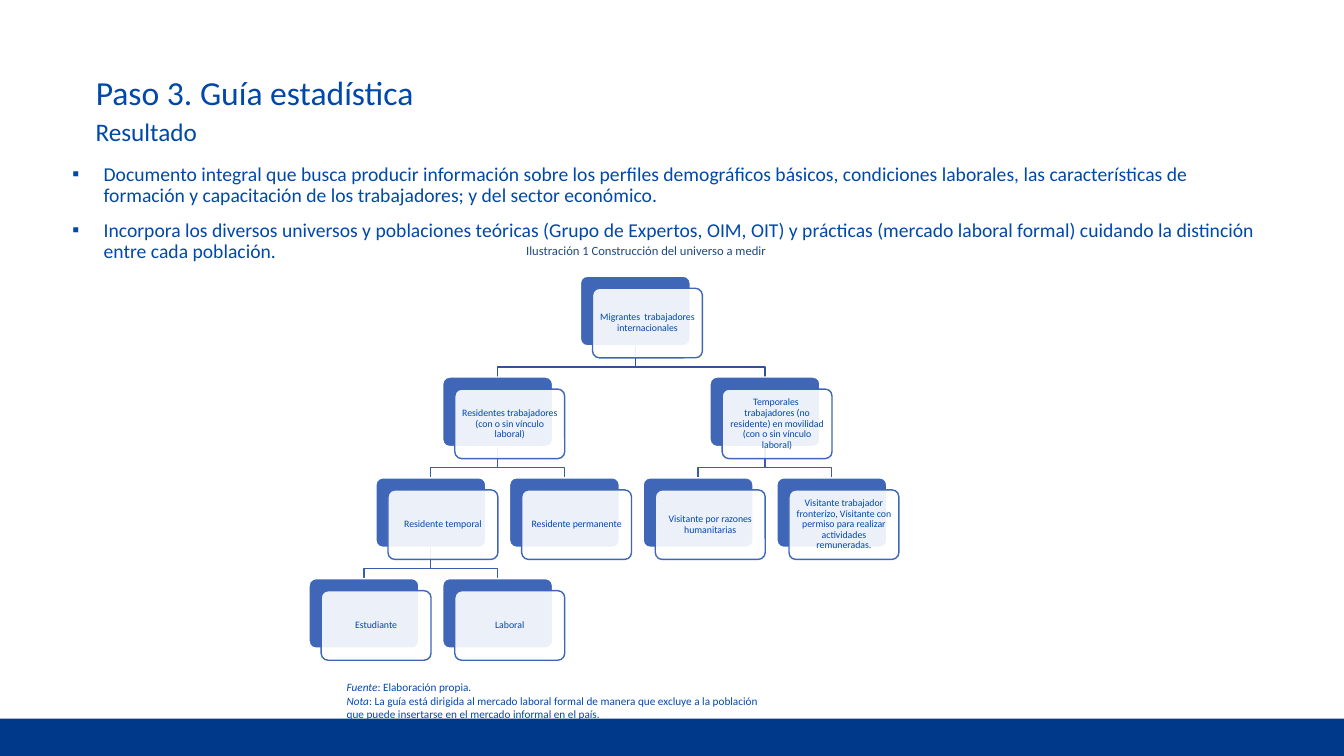
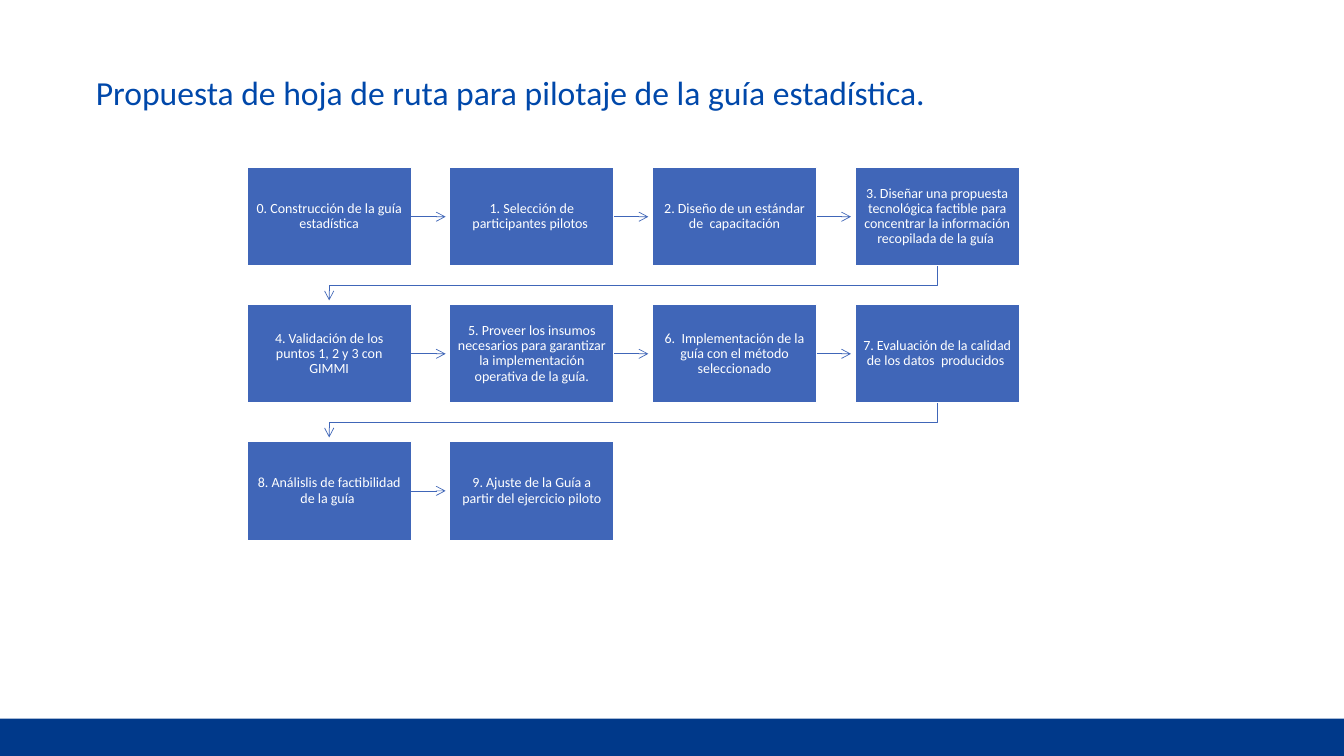
from dataclasses import dataclass

from lxml.etree import SubElement
from pptx import Presentation
from pptx.dml.color import RGBColor
from pptx.enum.shapes import MSO_CONNECTOR, MSO_SHAPE
from pptx.enum.text import MSO_ANCHOR as Anchor, MSO_AUTO_SIZE, PP_ALIGN as Align
from pptx.oxml.ns import qn
from pptx.util import Inches, Pt

FONT = "Calibri"
WHITE = "FFFFFF"
TITLE_BLUE = "0048AA"
TEXT_BLUE = "0048AF"
CAPTION_BLUE = "1F497D"
BAND_BLUE = "00398A"
BOX_BLUE = "4066B8"
TRUNK_BLUE = "335293"
BRANCH_BLUE = "3A5DA7"

SLIDE_W, SLIDE_H, BAND_H = 13.33, 7.5, 0.37

NODE_W, NODE_H = 1.09, 0.69
NODE_SHIFT = 0.12
FIRST_CENTER, LAST_CENTER, LAST_COLUMN = 3.61, 8.25, 7
TREE_TOP, LEVEL_PITCH, ELBOW_RISE = 2.74, 1.0, 0.1

STEP_LEFT, STEP_TOP, STEP_W, STEP_H = 2.45, 1.66, 1.63, 0.98
STEP_GAP, ARROW_LENGTH, STEPS_PER_ROW = 0.38, 0.34, 4


@dataclass(frozen=True)
class Run:
    text: str
    italic: bool = False


@dataclass(frozen=True)
class TextStyle:
    size: float
    color: str
    align: Align = Align.LEFT
    anchor: Anchor = Anchor.TOP
    line_spacing: float = 0.9
    space_before: float = 0
    bullet: str = ""


@dataclass(frozen=True)
class Node:
    label: str
    column: float
    level: int
    parent: int | None = None

    @property
    def center(self) -> float:
        return FIRST_CENTER + (LAST_CENTER - FIRST_CENTER) * self.column / LAST_COLUMN

    @property
    def top(self) -> float:
        return TREE_TOP + LEVEL_PITCH * self.level


TITLE_STYLE = TextStyle(24, TITLE_BLUE)
SUBTITLE_STYLE = TextStyle(18, TITLE_BLUE, anchor=Anchor.MIDDLE)
BULLET_STYLE = TextStyle(14, TITLE_BLUE, space_before=10, bullet="▪")
CAPTION_STYLE = TextStyle(9, CAPTION_BLUE, anchor=Anchor.MIDDLE, line_spacing=1)
NOTE_STYLE = TextStyle(8, TEXT_BLUE, anchor=Anchor.MIDDLE, line_spacing=1)
NODE_STYLE = TextStyle(7, TEXT_BLUE, Align.CENTER, Anchor.MIDDLE)
STEP_STYLE = TextStyle(10, WHITE, Align.CENTER, Anchor.MIDDLE)

FINDINGS = [
    [Run("Documento integral que busca producir información sobre los perfiles demográficos "
         "básicos, condiciones laborales, las características de formación y capacitación "
         "de los trabajadores; y del sector económico.")],
    [Run("Incorpora los diversos universos y poblaciones teóricas (Grupo de Expertos, OIM, OIT) "
         "y prácticas (mercado laboral formal) cuidando la distinción entre cada población.")],
]

SOURCE_NOTE = [
    [Run("Fuente", True), Run(": Elaboración propia.")],
    [Run("Nota", True),
     Run(": La guía está dirigida al mercado laboral formal de manera que excluye a la "
         "población que puede insertarse en el mercado informal en el país.")],
]

UNIVERSE = [
    Node("Migrantes  trabajadores internacionales", 4.06, 0),
    Node("Residentes trabajadores (con o sin vínculo laboral)", 2, 1, 0),
    Node("Temporales  trabajadores (no residente) en movilidad (con o sin vínculo laboral)",
         6, 1, 0),
    Node("Residente temporal", 1, 2, 1),
    Node("Residente permanente", 3, 2, 1),
    Node("Visitante por razones humanitarias", 5, 2, 2),
    Node("Visitante trabajador fronterizo, Visitante con permiso para realizar actividades "
         "remuneradas.", 7, 2, 2),
    Node("Estudiante", 0, 3, 3),
    Node("Laboral", 2, 3, 3),
]

ROADMAP = [
    "0. Construcción de la guía estadística",
    "1. Selección de participantes pilotos ",
    "2. Diseño de un estándar de  capacitación",
    "3. Diseñar una propuesta tecnológica factible para concentrar la información "
    "recopilada de la guía ",
    "4. Validación de los puntos 1, 2 y 3 con GIMMI",
    "5. Proveer los insumos necesarios para garantizar la implementación operativa de la guía.",
    "6.  Implementación de la guía con el método seleccionado",
    "7. Evaluación de la calidad de los datos  producidos ",
    "8. Análislis de factibilidad de la guía ",
    "9. Ajuste de la Guía a partir del ejercicio piloto",
]


def rgb(color: str) -> RGBColor:
    return RGBColor.from_string(color)


def box(left: float, top: float, width: float, height: float) -> tuple:
    return Inches(left), Inches(top), Inches(width), Inches(height)


def add_bullet(paragraph, symbol: str) -> None:
    properties = paragraph._p.get_or_add_pPr()
    properties.set("marL", str(Inches(0.31)))
    properties.set("indent", str(-Inches(0.31)))
    SubElement(properties, qn("a:buFont")).set("typeface", FONT)
    SubElement(properties, qn("a:buChar")).set("char", symbol)


def write(frame, paragraphs: list[list[Run]], style: TextStyle,
          inset: float | None = None) -> None:
    frame.word_wrap = True
    frame.auto_size = MSO_AUTO_SIZE.NONE
    frame.vertical_anchor = style.anchor
    if inset is not None:
        frame.margin_left = frame.margin_right = Inches(inset)
        frame.margin_top = frame.margin_bottom = Inches(inset)
    for index, runs in enumerate(paragraphs):
        paragraph = frame.add_paragraph() if index else frame.paragraphs[0]
        paragraph.alignment = style.align
        paragraph.line_spacing = style.line_spacing
        paragraph.space_before = Pt(style.space_before)
        if style.bullet:
            add_bullet(paragraph, style.bullet)
        for part in runs:
            run = paragraph.add_run()
            run.text = part.text
            run.font.name = FONT
            run.font.size = Pt(style.size)
            run.font.italic = part.italic
            run.font.color.rgb = rgb(style.color)


def add_text(slide, place: tuple, paragraphs: list[list[Run]], style: TextStyle) -> None:
    write(slide.shapes.add_textbox(*place).text_frame, paragraphs, style)


def add_block(slide, kind: MSO_SHAPE, place: tuple, fill: str, line: str | None = None):
    block = slide.shapes.add_shape(kind, *place)
    block.shadow.inherit = False
    block.fill.solid()
    block.fill.fore_color.rgb = rgb(fill)
    if line:
        block.line.color.rgb = rgb(line)
        block.line.width = Pt(1)
    else:
        block.line.fill.background()
    return block


def style_line(stroke, color: str, width: float, arrow: bool) -> None:
    stroke.line.color.rgb = rgb(color)
    stroke.line.width = Pt(width)
    if arrow:
        outline = stroke.element.spPr.find(qn("a:ln"))
        SubElement(outline, qn("a:tailEnd")).set("type", "arrow")


def add_elbow(slide, points: list[tuple[float, float]], color: str, width: float,
              arrow: bool = False) -> None:
    start, *rest = [(Inches(x), Inches(y)) for x, y in points]
    builder = slide.shapes.build_freeform(*start)
    builder.add_line_segments(rest, close=False)
    elbow = builder.convert_to_shape()
    elbow.shadow.inherit = False
    elbow.fill.background()
    style_line(elbow, color, width, arrow)


def add_arrow(slide, left: float, right: float, y: float) -> None:
    arrow = slide.shapes.add_connector(
        MSO_CONNECTOR.STRAIGHT, Inches(left), Inches(y), Inches(right), Inches(y))
    style_line(arrow, BOX_BLUE, 0.5, True)
    SubElement(arrow.element.spPr, qn("a:effectLst"))


def add_titled_slide(deck, title: str):
    slide = deck.slides.add_slide(deck.slide_layouts.get_by_name("Title Only"))
    heading = slide.shapes.title
    heading.left, heading.top, heading.width, heading.height = box(0.85, 0.71, 11.5, 0.39)
    write(heading.text_frame, [[Run(title)]], TITLE_STYLE)
    add_block(slide, MSO_SHAPE.RECTANGLE,
              box(0, SLIDE_H - BAND_H, SLIDE_W, BAND_H), BAND_BLUE)
    return slide


def add_branch(slide, parent: Node, child: Node) -> None:
    turn = child.top - ELBOW_RISE
    points = [(parent.center, parent.top + NODE_H), (parent.center, turn),
              (child.center, turn), (child.center, child.top)]
    add_elbow(slide, points, BRANCH_BLUE if parent.level else TRUNK_BLUE, 1)


def add_node(slide, node: Node) -> None:
    left = node.center - NODE_W / 2
    back = add_block(slide, MSO_SHAPE.ROUNDED_RECTANGLE,
                     box(left, node.top, NODE_W, NODE_H), BOX_BLUE, WHITE)
    card = add_block(slide, MSO_SHAPE.ROUNDED_RECTANGLE,
                     box(left + NODE_SHIFT, node.top + NODE_SHIFT, NODE_W, NODE_H),
                     WHITE, BOX_BLUE)
    back.adjustments[0] = card.adjustments[0] = 0.1
    card_color = card.element.spPr.find(qn("a:solidFill")).find(qn("a:srgbClr"))
    SubElement(card_color, qn("a:alpha")).set("val", "90000")
    write(card.text_frame, [[Run(node.label)]], NODE_STYLE, 0.03)


def add_step(slide, index: int, label: str, is_last: bool) -> None:
    row, column = divmod(index, STEPS_PER_ROW)
    left = STEP_LEFT + column * (STEP_W + STEP_GAP)
    top = STEP_TOP + row * (STEP_H + STEP_GAP)
    bottom = top + STEP_H
    step = add_block(slide, MSO_SHAPE.RECTANGLE, box(left, top, STEP_W, STEP_H),
                     BOX_BLUE, WHITE)
    write(step.text_frame, [[Run(label)]], STEP_STYLE, 0.08)
    if is_last:
        return
    if column < STEPS_PER_ROW - 1:
        right = left + STEP_W
        add_arrow(slide, right, right + ARROW_LENGTH, top + STEP_H / 2)
    else:
        center, first_center = left + STEP_W / 2, STEP_LEFT + STEP_W / 2
        turn = bottom + STEP_GAP / 2
        add_elbow(slide, [(center, bottom), (center, turn), (first_center, turn),
                          (first_center, bottom + ARROW_LENGTH)], BOX_BLUE, 0.5, True)


def build_result(deck) -> None:
    slide = add_titled_slide(deck, "Paso 3. Guía estadística")
    add_text(slide, box(0.85, 0.95, 4.37, 0.74), [[Run("Resultado")]], SUBTITLE_STYLE)
    add_text(slide, box(0.62, 1.58, 11.96, 1.1), FINDINGS, BULLET_STYLE)
    add_text(slide, box(5.12, 2.36, 2.98, 0.26),
             [[Run("Ilustración 1 Construcción del universo a medir")]], CAPTION_STYLE)
    add_text(slide, box(3.34, 6.7, 4.37, 0.5), SOURCE_NOTE, NOTE_STYLE)
    for node in UNIVERSE:
        if node.parent is not None:
            add_branch(slide, UNIVERSE[node.parent], node)
    for node in UNIVERSE:
        add_node(slide, node)


def build_roadmap(deck) -> None:
    slide = add_titled_slide(
        deck, "Propuesta de hoja de ruta para pilotaje de la guía estadística.")
    for index, label in enumerate(ROADMAP):
        add_step(slide, index, label, index == len(ROADMAP) - 1)


def main() -> None:
    deck = Presentation()
    deck.slide_width, deck.slide_height = Inches(SLIDE_W), Inches(SLIDE_H)
    build_result(deck)
    build_roadmap(deck)
    deck.save("out.pptx")


if __name__ == "__main__":
    main()
